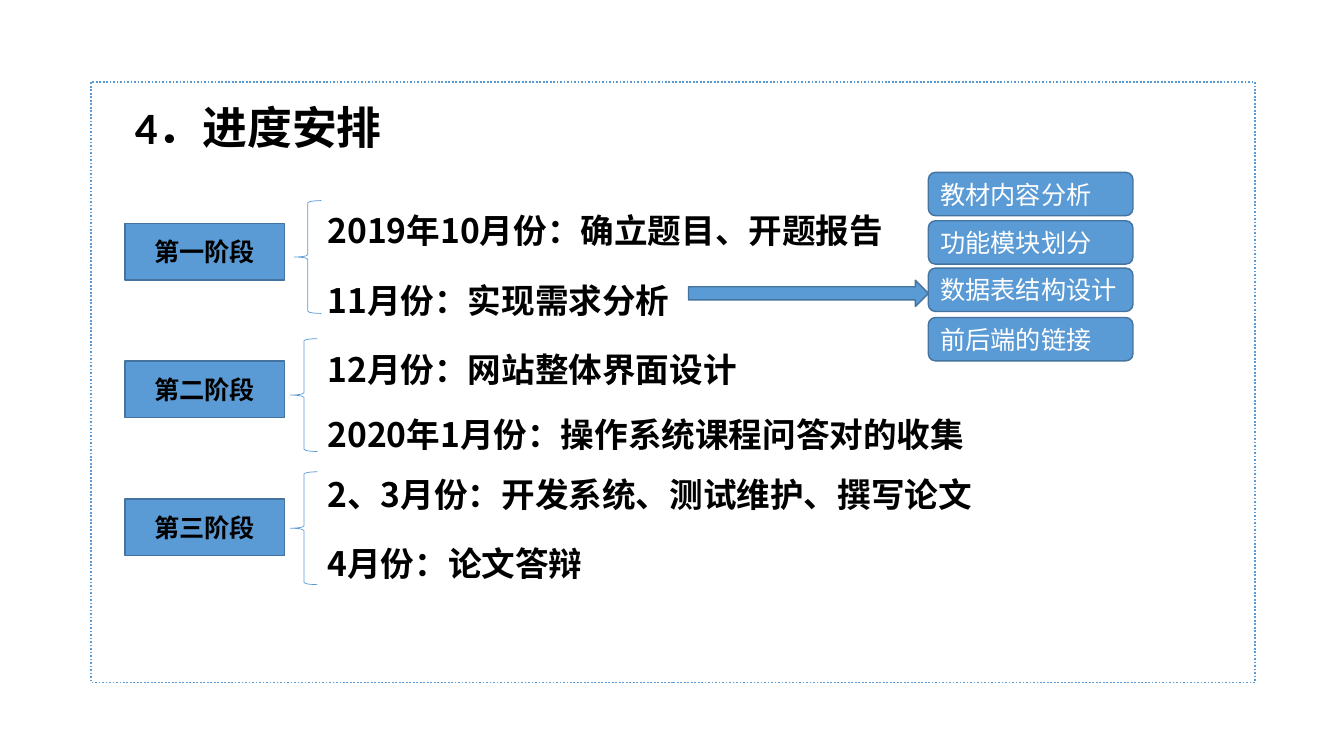
from pptx import Presentation
from pptx.dml.color import RGBColor
from pptx.enum.dml import MSO_LINE
from pptx.enum.shapes import MSO_SHAPE as Preset
from pptx.enum.text import MSO_ANCHOR, MSO_AUTO_SIZE, PP_ALIGN as Align
from pptx.util import Pt

COLORS = {"white": "FFFFFF", "black": "000000", "blue": "5B9BD5", "edge": "43739E"}

presentation = Presentation()
presentation.slide_width, presentation.slide_height = Pt(960), Pt(540)
slide = presentation.slides.add_slide(presentation.slide_layouts[6])


def add_preset(preset, box, fill="blue", line="edge", width=1):
    shape = slide.shapes.add_shape(preset, *map(Pt, box))
    shape.shadow.inherit = False
    if fill:
        shape.fill.solid()
        shape.fill.fore_color.rgb = RGBColor.from_string(COLORS[fill])
    else:
        shape.fill.background()
    shape.line.color.rgb = RGBColor.from_string(COLORS[line])
    shape.line.width = Pt(width)
    return shape


def write(shape, text, align, color="black", **font_format):
    frame = shape.text_frame
    frame.word_wrap = True
    paragraph = frame.paragraphs[0]
    paragraph.text = text
    paragraph.alignment = align
    font = paragraph.runs[0].font
    font.color.rgb = RGBColor.from_string(COLORS[color])
    for name, value in font_format.items():
        setattr(font, name, value)
    return frame


# Framed panel
add_preset(Preset.RECTANGLE, (46, 44, 871, 458.5), "white", "white", 1.25)
panel = add_preset(Preset.RECTANGLE, (65, 58.5, 831.5, 429), "white", "blue", 1.25)
panel.line.dash_style = MSO_LINE.ROUND_DOT

# Title and schedule lines
title_format = {"name": "Calibri", "size": Pt(32), "bold": True}
line_format = {"name": "Noto Sans CJK SC", "size": Pt(24), "bold": True}
texts = [
    ("4．进度安排", (89.3, 58.3, 227.5, 55.4), title_format),
    ("2019年10月份：确立题目、开题报告", (226.8, 139, 428.4, 44), line_format),
    ("11月份：实现需求分析", (226.8, 189.4, 333.4, 40.3), line_format),
    ("12月份：网站整体界面设计", (226.8, 238.3, 333.4, 40.3), line_format),
    ("2020年1月份：操作系统课程问答对的收集", (226.8, 285.1, 532, 74.2), line_format),
    ("2、3月份：开发系统、测试维护、撰写论文", (226.8, 327.6, 496, 44), line_format),
    ("4月份：论文答辩", (226.8, 377.3, 367.2, 40.3), line_format),
]
for text, box, font_format in texts:
    textbox = slide.shapes.add_textbox(*map(Pt, box))
    frame = write(textbox, text, Align.JUSTIFY, **font_format)
    frame.auto_size = MSO_AUTO_SIZE.SHAPE_TO_FIT_TEXT
    frame.paragraphs[0].line_spacing = 1.25

# Stages with their braces
stages = [
    ("第一阶段", 159.8, 210.2, 143.3),
    ("第二阶段", 257.8, 207.4, 241.9),
    ("第三阶段", 356.4, 207.4, 337),
]
for name, top, brace_left, brace_top in stages:
    add_preset(Preset.LEFT_BRACE, (brace_left, brace_top, 19.4, 80.6), None, "blue", 0.5)
    stage = add_preset(Preset.RECTANGLE, (89.3, top, 113.8, 40.3))
    frame = write(stage, name, Align.CENTER, name="Arial", size=Pt(18), bold=True)
    frame.vertical_anchor = MSO_ANCHOR.MIDDLE

# Requirement analysis tasks
add_preset(Preset.RIGHT_ARROW, (491.8, 200.2, 171.4, 18.7))
tasks = [
    ("教材内容分析", 123.1),
    ("功能模块划分", 157.7),
    ("数据表结构设计", 191.5),
    ("前后端的链接", 226.8),
]
for name, top in tasks:
    task = add_preset(Preset.ROUNDED_RECTANGLE, (663.1, top, 146.2, 31))
    frame = write(task, name, Align.LEFT, "white", name="Arial", size=Pt(18))
    frame.vertical_anchor = MSO_ANCHOR.MIDDLE

presentation.save("out.pptx")
